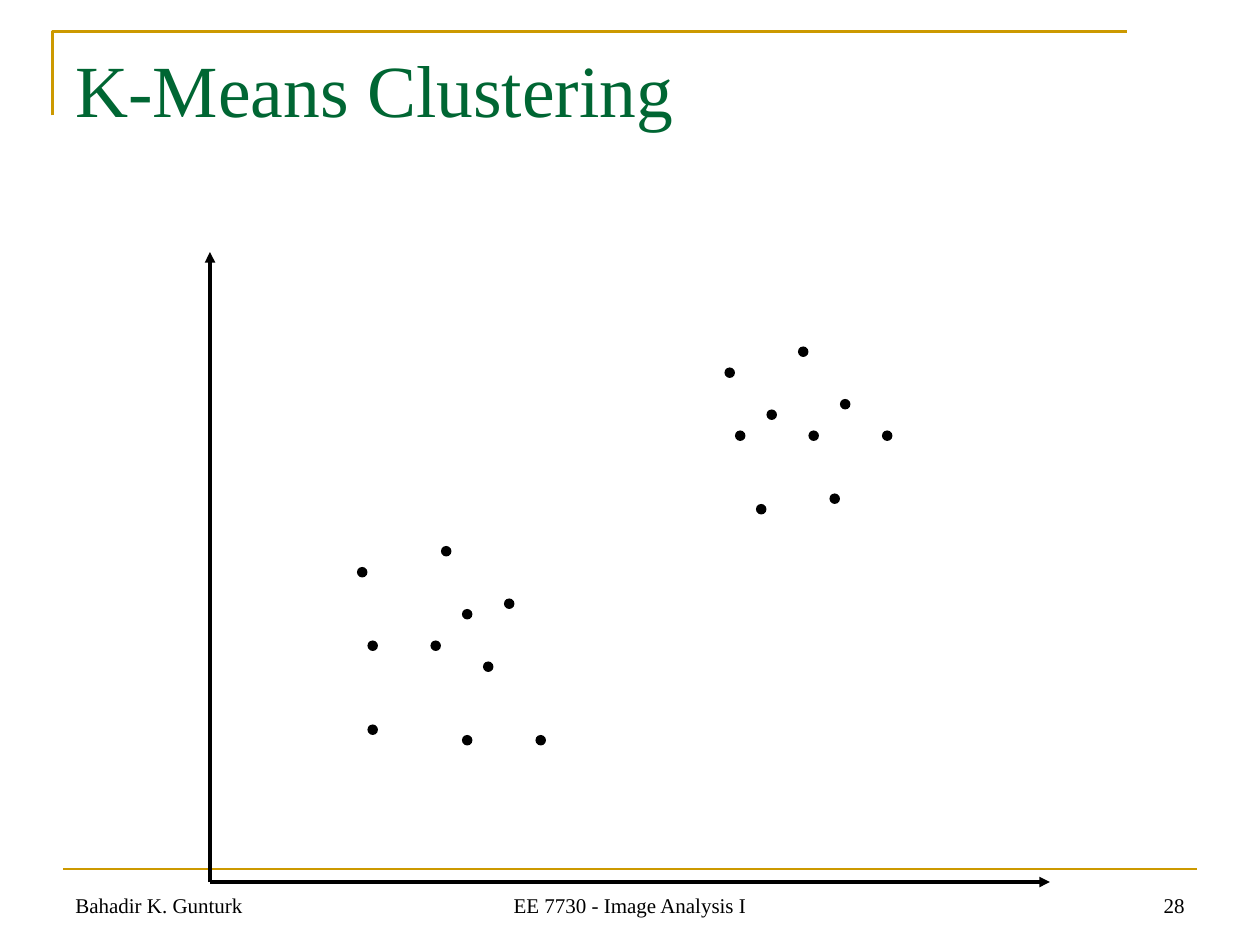
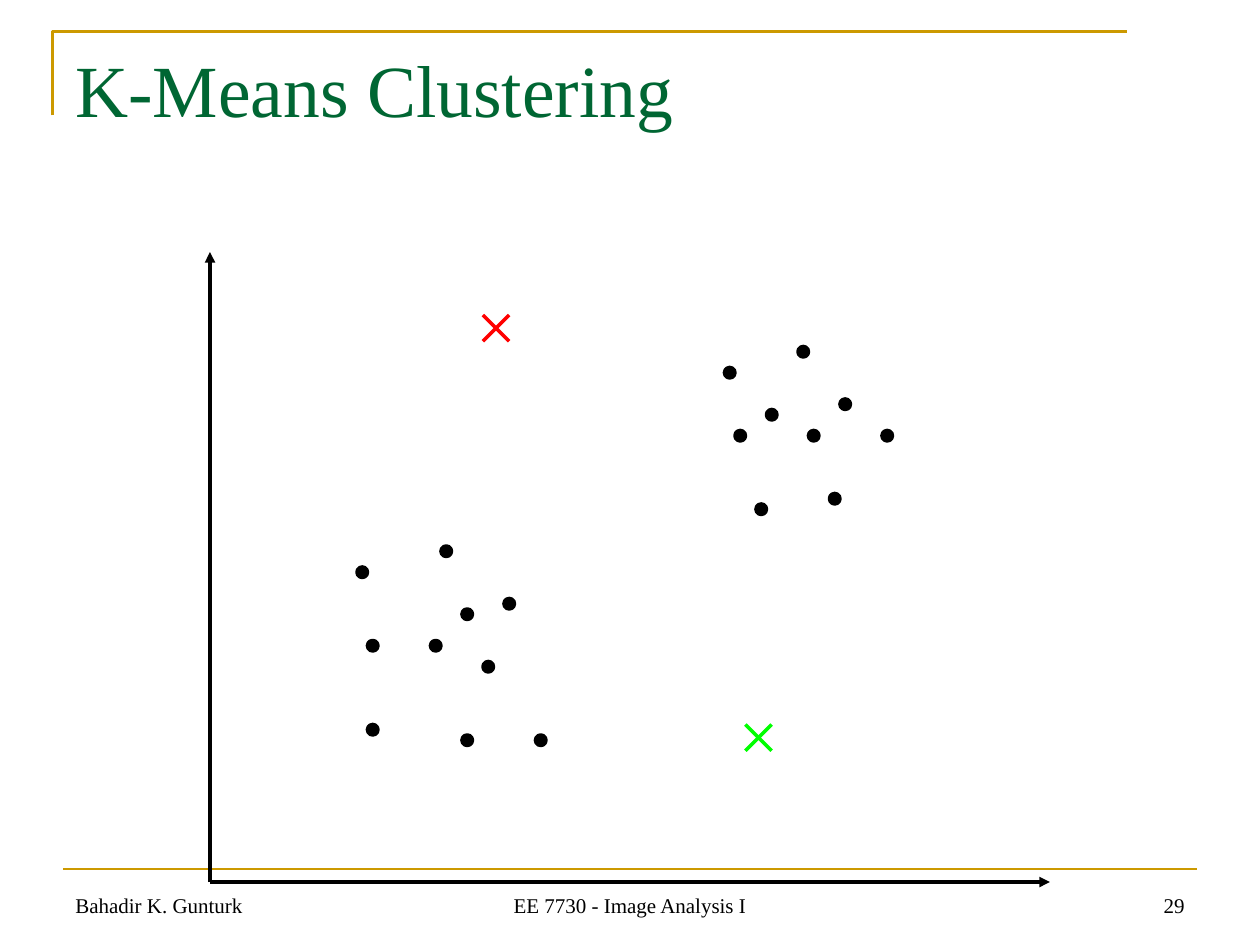
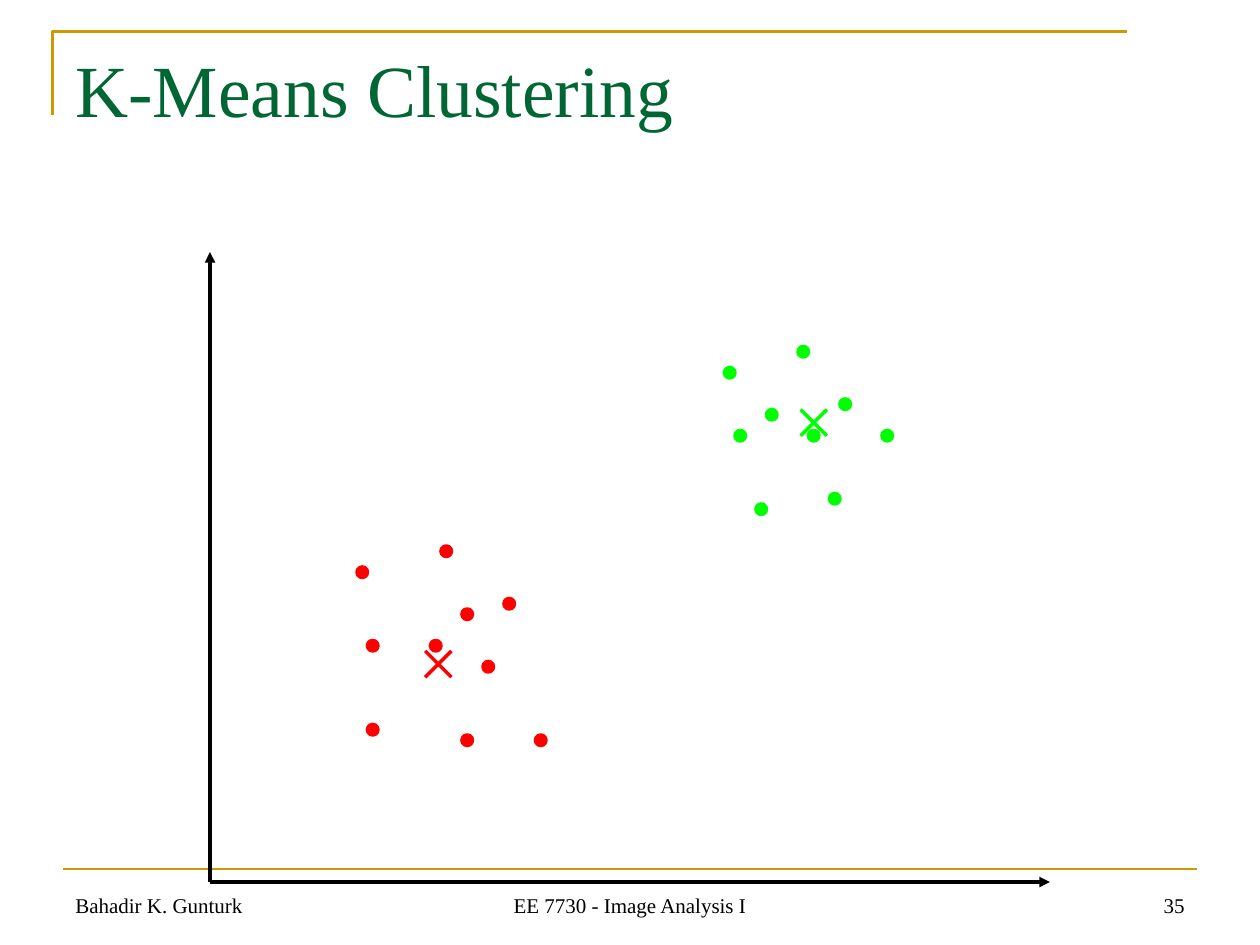
"""Build three slides that show K-means clustering on a scatter of points."""
from lxml import etree
from pptx import Presentation
from pptx import util as u
from pptx.dml.color import RGBColor
from pptx.enum import shapes, text
from pptx.oxml.ns import qn

PX = 9525
GRID = 8
FONT = "Times New Roman"
BLACK = RGBColor(0x00, 0x00, 0x00)
GREEN = RGBColor(0x00, 0x66, 0x33)
GOLD = RGBColor(0xCC, 0x99, 0x00)
RED = RGBColor(0xFF, 0x00, 0x00)
LIME = RGBColor(0x00, 0xFF, 0x00)
LEFT, MID, RIGHT = text.PP_ALIGN.LEFT, text.PP_ALIGN.CENTER, text.PP_ALIGN.RIGHT
TOP, BASE = text.MSO_ANCHOR.TOP, text.MSO_ANCHOR.BOTTOM

UPPER = [(69, 35), (70, 41), (73, 39), (76, 33), (80, 38),
         (77, 41), (72, 48), (79, 47), (84, 41)]
LOWER = [(42, 52), (48, 57), (46, 63), (44, 58), (34, 54),
         (35, 61), (41, 61), (44, 70), (35, 69), (51, 70)]


class Deck:
    """Hold the style and the current slide."""

    def __init__(self):
        self.prs = Presentation()
        self.prs.slide_width = 960 * PX
        self.prs.slide_height = 720 * PX
        self.slide = None

    def label(self, words, box, size=12, color=BLACK, align=LEFT, anchor=BASE):
        """Add a line of text in a box."""
        frame = self.slide.shapes.add_textbox(*(n * PX for n in box)).text_frame
        frame.word_wrap = True
        frame.vertical_anchor = anchor
        frame.text = words
        para = frame.paragraphs[0]
        para.alignment = align
        font = para.runs[0].font
        font.name, font.size, font.color.rgb = FONT, u.Pt(size), color

    def line(self, start, end, color, width=2, arrow=False):
        """Add a straight line, with an arrowhead if asked."""
        link = self.slide.shapes.add_connector(
            shapes.MSO_CONNECTOR.STRAIGHT, *(n * PX for n in start + end))
        link.line.color.rgb = color
        link.line.width = u.Pt(width)
        if arrow:
            tip = etree.SubElement(link.line._get_or_add_ln(), qn("a:tailEnd"))
            tip.set("type", "triangle")
        etree.SubElement(link._element.spPr, qn("a:effectLst"))

    def frame(self):
        """Add the open corner around the title."""
        pen = self.slide.shapes.build_freeform(40, 88, scale=PX)
        pen.add_line_segments([(40, 24), (859, 24)], close=False)
        edge = pen.convert_to_shape()
        edge.shadow.inherit = False
        edge.fill.background()
        edge.line.color.rgb = GOLD
        edge.line.width = u.Pt(1.5)

    def dots(self, cells, color, ring):
        """Add a dot at each grid cell."""
        for col, row in cells:
            dot = self.slide.shapes.add_shape(
                shapes.MSO_SHAPE.OVAL,
                *(n * GRID * PX for n in (col, row, 1, 1)))
            dot.shadow.inherit = False
            dot.fill.solid()
            dot.fill.fore_color.rgb = color
            if ring:
                dot.line.color.rgb = color
                dot.line.width = u.Pt(2)
            else:
                dot.line.fill.background()

    def cross(self, x, y, color, size=20):
        """Add a cluster centre."""
        self.line((x, y), (x + size, y + size), color)
        self.line((x, y + size), (x + size, y), color)

    def page(self, number):
        """Start a slide with its title, footer and axes."""
        self.slide = self.prs.slides.add_slide(self.prs.slide_layouts[6])
        self.frame()
        self.line((48, 662), (912, 662), GOLD, 1.5)
        for end in ((800, 672), (160, 192)):
            self.line((160, 672), end, BLACK, arrow=True)
        self.label("K-Means Clustering", (48, 29, 864, 120), 42, GREEN, anchor=TOP)
        self.label("EE 7730 - Image Analysis I", (328, 656, 304, 48), align=MID)
        self.label(str(number), (688, 656, 224, 48), align=RIGHT)
        self.label("Bahadir K. Gunturk", (48, 656, 224, 48))


def main():
    """Build and save the slides."""
    deck = Deck()
    plan = [
        (28, BLACK, BLACK, False, []),
        (29, BLACK, BLACK, True, [(368, 240, RED), (568, 552, LIME)]),
        (35, LIME, RED, True, [(324, 496, RED), (610, 312, LIME)]),
    ]
    for number, high, low, ring, marks in plan:
        deck.page(number)
        deck.dots(UPPER, high, ring)
        deck.dots(LOWER, low, ring)
        for mark in marks:
            deck.cross(*mark)
    deck.prs.save("out.pptx")


if __name__ == "__main__":
    main()
